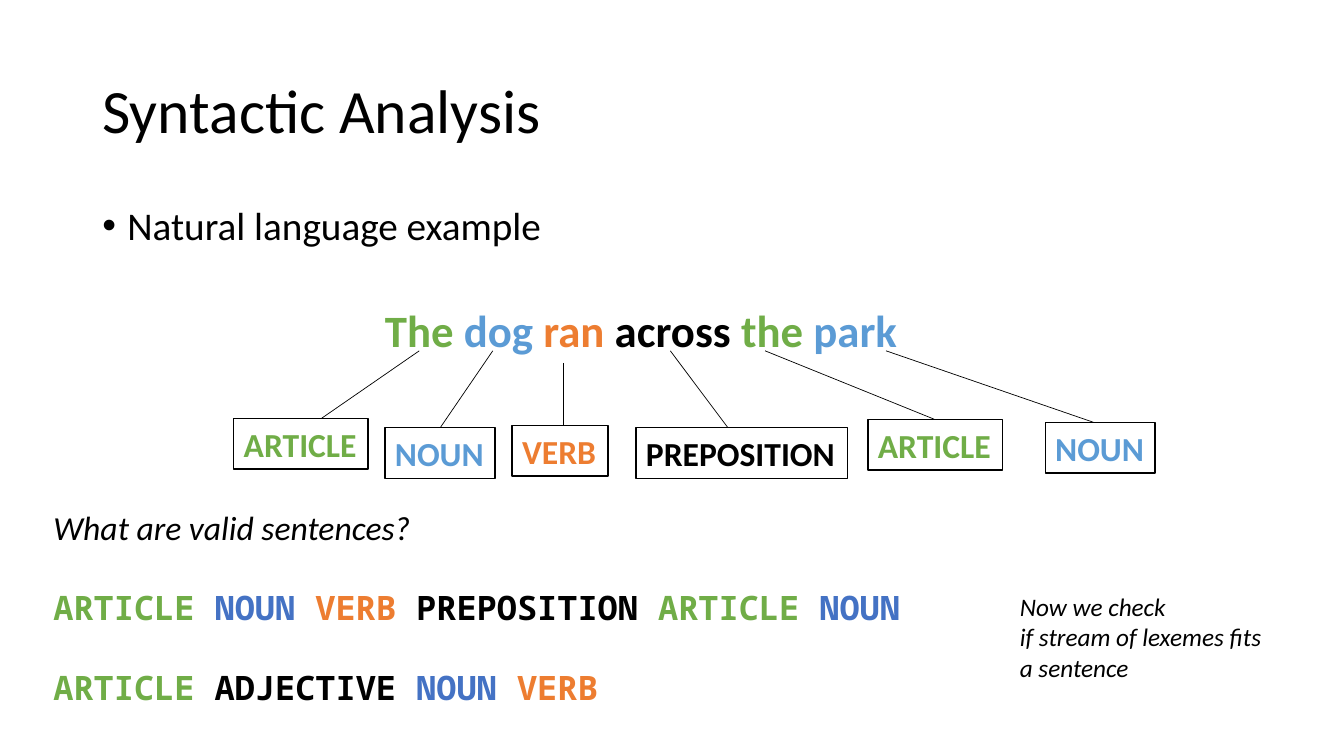
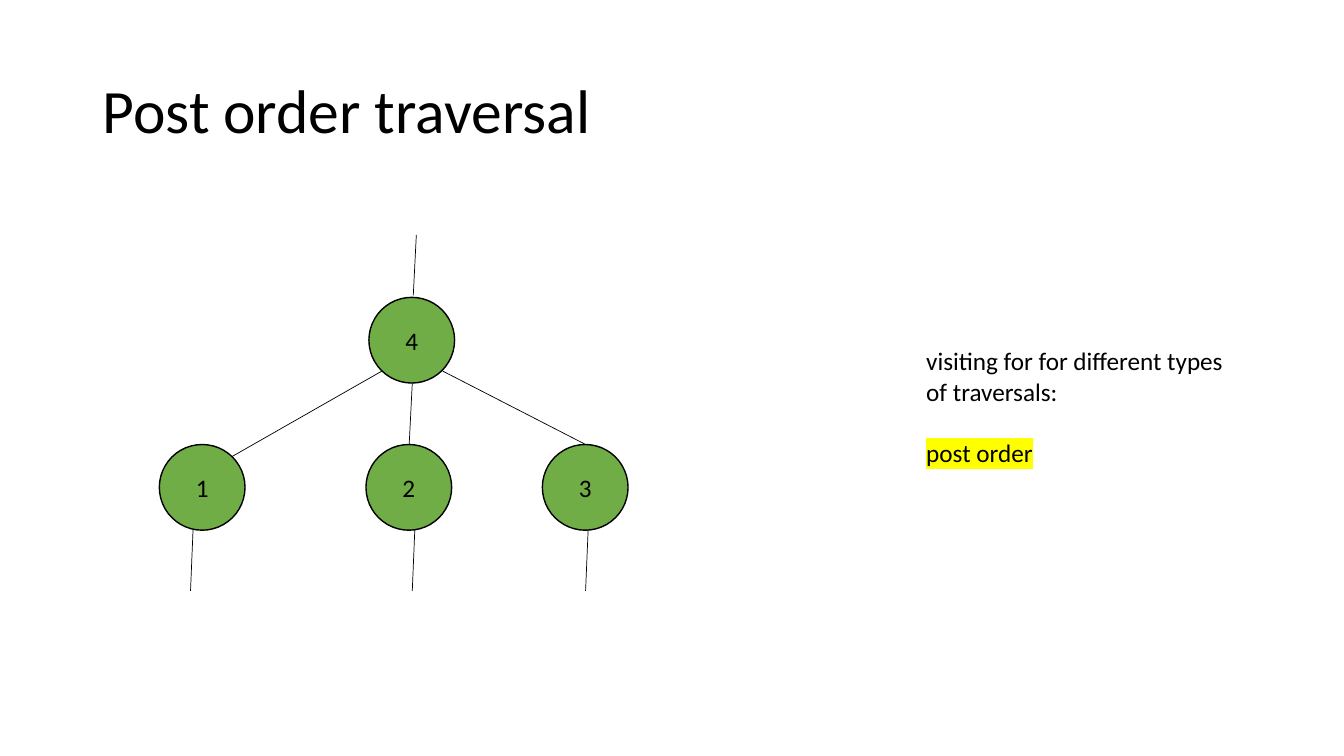
from lxml import etree
from pptx import Presentation
from pptx.dml.color import RGBColor
from pptx.enum.shapes import MSO_CONNECTOR, MSO_SHAPE
from pptx.enum.text import MSO_ANCHOR, MSO_AUTO_SIZE, PP_ALIGN
from pptx.oxml.ns import qn
from pptx.util import Pt

RECT, OVAL = MSO_SHAPE.RECTANGLE, MSO_SHAPE.OVAL
STRAIGHT = MSO_CONNECTOR.STRAIGHT
MIDDLE = MSO_ANCHOR.MIDDLE
LEFT, CENTER = PP_ALIGN.LEFT, PP_ALIGN.CENTER
NO_FIT, FIT_SHAPE = MSO_AUTO_SIZE.NONE, MSO_AUTO_SIZE.SHAPE_TO_FIT_TEXT

FONT, MONO = "Calibri", "Noto Sans Mono"
BLACK, WHITE, YELLOW = "000000", "FFFFFF", "FFFF00"
GREEN, ORANGE, SKY, BLUE = "70AD47", "ED7D31", "5B9BD5", "4472C4"


def rgb(value):
    return RGBColor.from_string(value)


class Deck:
    """Holds the shared style and the slide being filled."""

    def __init__(self):
        self.prs = Presentation()
        self.prs.slide_width, self.prs.slide_height = Pt(960), Pt(540)
        self.s = None

    def slide(self, title):
        self.s = self.prs.slides.add_slide(self.prs.slide_layouts[5])
        sp = self.s.shapes.title
        sp.left, sp.top, sp.width, sp.height = Pt(66), Pt(29), Pt(828), Pt(104)
        tf = sp.text_frame
        tf.auto_size, tf.vertical_anchor = NO_FIT, MIDDLE
        p = tf.paragraphs[0]
        p.alignment, p.line_spacing = LEFT, 0.9
        self.run(p, title, size=44)

    def run(self, p, text, color=BLACK, size=18, font=FONT, bold=False,
            italic=False, highlight=None):
        r = p.add_run()
        r.text = text
        f = r.font
        f.name, f.size, f.bold, f.italic = font, Pt(size), bold, italic
        f.color.rgb = rgb(color)
        if highlight:
            mark = etree.Element(qn("a:highlight"))
            etree.SubElement(mark, qn("a:srgbClr"), val=highlight)
            r._r.get_or_add_rPr().find(qn("a:solidFill")).addnext(mark)

    def text(self, x, y, w, h, lines, wrap=False, **style):
        """Add a text box; each line is a list of (text, overrides)."""
        tf = self.s.shapes.add_textbox(Pt(x), Pt(y), Pt(w), Pt(h)).text_frame
        tf.word_wrap = wrap
        tf.auto_size = NO_FIT if wrap else FIT_SHAPE
        for i, runs in enumerate(lines):
            p = tf.add_paragraph() if i else tf.paragraphs[0]
            for text, own in runs:
                self.run(p, text, **{**style, **own})
        return tf.paragraphs

    def bullet(self, x, y, w, h, text):
        p = self.text(x, y, w, h, [[(text, {})]], wrap=True, size=28)[0]
        p.line_spacing, p.space_before = 0.9, Pt(10)
        pPr = p._p.get_or_add_pPr()
        pPr.set("marL", str(Pt(18)))
        pPr.set("indent", str(-Pt(18)))
        etree.SubElement(pPr, qn("a:buFont"), typeface="Arial")
        etree.SubElement(pPr, qn("a:buChar"), char="•")

    def shape(self, kind, x, y, w, h, text, fill, align=CENTER, **style):
        sp = self.s.shapes.add_shape(kind, Pt(x), Pt(y), Pt(w), Pt(h))
        sp.shadow.inherit = False
        sp.fill.solid()
        sp.fill.fore_color.rgb = rgb(fill)
        sp.line.color.rgb = rgb(BLACK)
        sp.line.width = Pt(1)
        tf = sp.text_frame
        tf.word_wrap, tf.vertical_anchor = False, MIDDLE
        p = tf.paragraphs[0]
        p.alignment = align
        self.run(p, text, **style)

    def line(self, x1, y1, x2, y2):
        c = self.s.shapes.add_connector(STRAIGHT, Pt(x1), Pt(y1), Pt(x2), Pt(y2))
        c.line.color.rgb = rgb(BLACK)
        c.line.width = Pt(0.5)
        etree.SubElement(c._element.spPr, qn("a:effectLst"))


def syntactic_analysis(d):
    d.slide("Syntactic Analysis")
    d.bullet(66, 144, 828, 59, "Natural language example")
    words = [("The ", GREEN), ("dog ", SKY), ("ran", ORANGE),
             (" across ", BLACK), ("the ", GREEN), ("park", SKY)]
    d.text(267.8, 213, 383, 46, [[(t, {"color": c}) for t, c in words]],
           size=32, bold=True)

    tags = [("ARTICLE", 167, 298.8, 96, 299.5, 250.6, 229.7),
            ("NOUN", 275, 305.3, 78.5, 352, 250.6, 314.6),
            ("VERB", 365.8, 303.8, 68.4, 402.5, 259.2, 402.5),
            ("PREPOSITION", 454.3, 305.3, 151.2, 478.8, 250.6, 519.8),
            ("ARTICLE", 620, 299.5, 96, 546.5, 250.6, 667.4),
            ("NOUN", 746.6, 301.7, 78.5, 632.9, 250.6, 781.2)]
    for (tag, x, y, w, x1, y1, x2), (_, color) in zip(tags, words):
        d.line(x1, y1, x2, y)
        d.shape(RECT, x, y, w, 36.3, tag, WHITE, LEFT,
                color=color, size=24, bold=True)

    colors = {"ARTICLE": GREEN, "NOUN": BLUE, "VERB": ORANGE}
    lines = [[("What are valid sentences?", {"italic": True})]]
    for sentence in ("ARTICLE NOUN VERB PREPOSITION ARTICLE NOUN",
                     "ARTICLE ADJECTIVE NOUN VERB"):
        parts = sentence.split()
        lines.append([(part + (" " if i < len(parts) else ""),
                       {"color": colors.get(part, BLACK), "font": MONO, "bold": True})
                      for i, part in enumerate(parts, 1)])
    for p in d.text(31, 358.6, 624, 152.6, lines, size=24)[1:]:
        p.line_spacing = Pt(57)

    note = ("Now we check", "if stream of lexemes fits", "a sentence")
    d.text(721.4, 419, 190, 72.7, [[(t, {})] for t in note], italic=True)


def post_order(d):
    d.slide("Post order traversal")
    for label, x, y in (("4", 263.5, 212.4), ("1", 113.8, 317.5),
                        ("2", 261.4, 317.5), ("3", 387.4, 317.5)):
        d.shape(OVAL, x, y, 61.2, 61.2, label, GREEN)
    for edge in ((272.9, 265, 165.6, 326.2), (294.5, 273.6, 292.3, 317.5),
                 (316.1, 265, 418.3, 317.5), (297.4, 167.8, 295.2, 211)):
        d.line(*edge)
    for x in (136.1, 294.5, 418.3):
        d.line(x + 1.8, 378.7, x, 422)
    paragraphs = d.text(654.5, 243.4, 229.7, 94.3, [
        [("visiting for for different types", {})],
        [("of traversals:", {})],
        [("post order", {"highlight": YELLOW})]])
    paragraphs[2].space_before = Pt(22)


def main():
    d = Deck()
    syntactic_analysis(d)
    post_order(d)
    d.prs.save("out.pptx")


if __name__ == "__main__":
    main()
